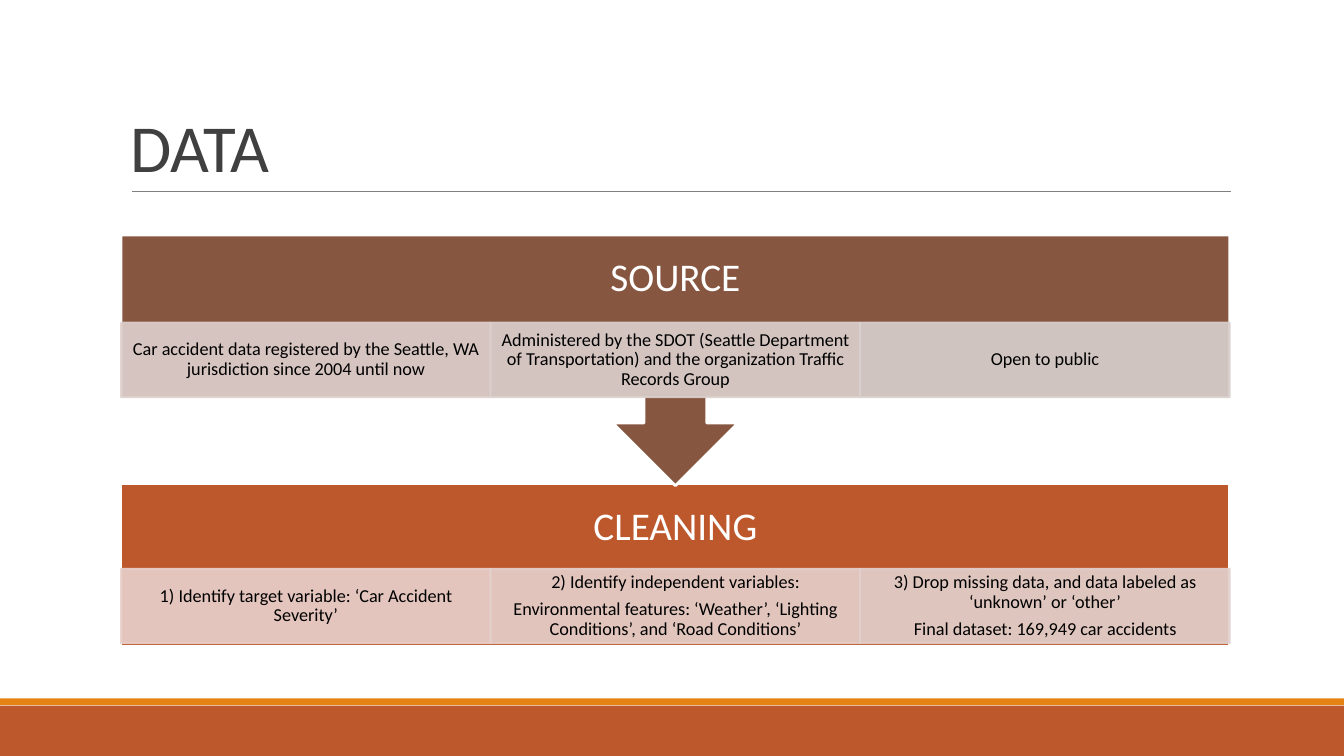
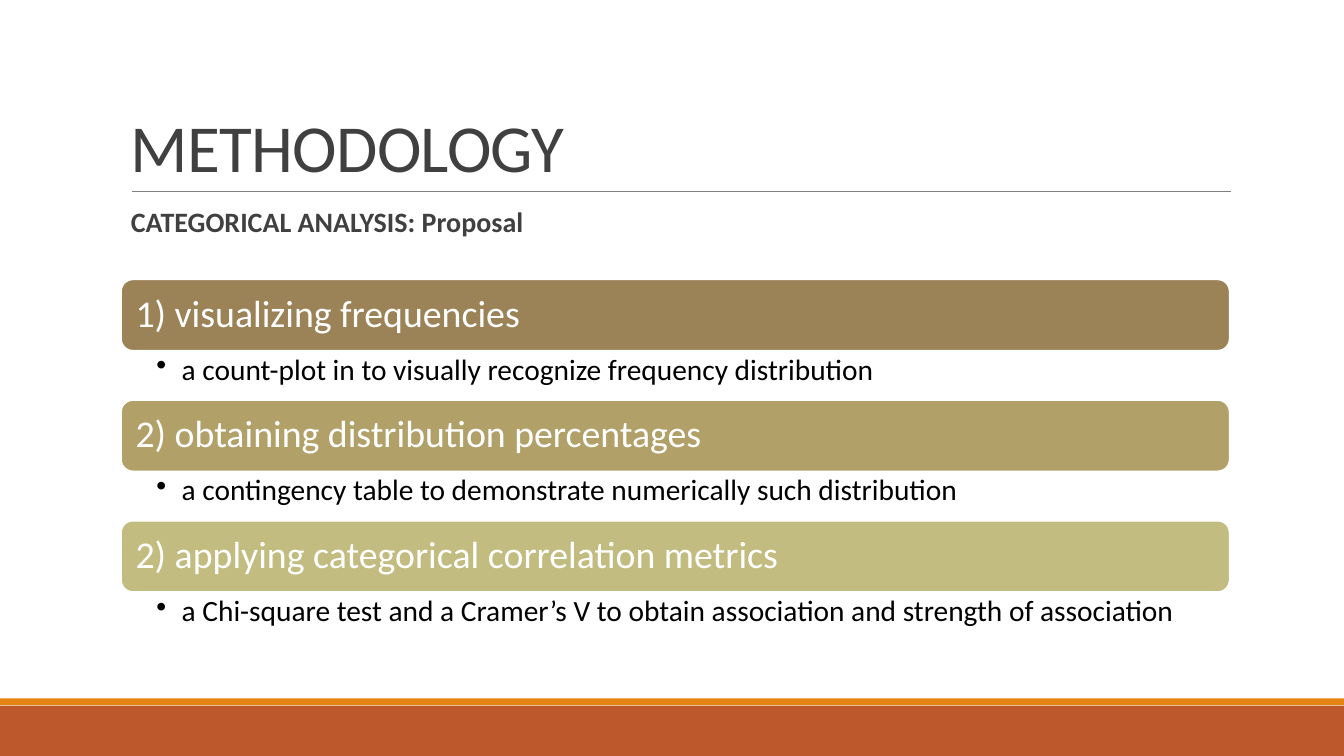
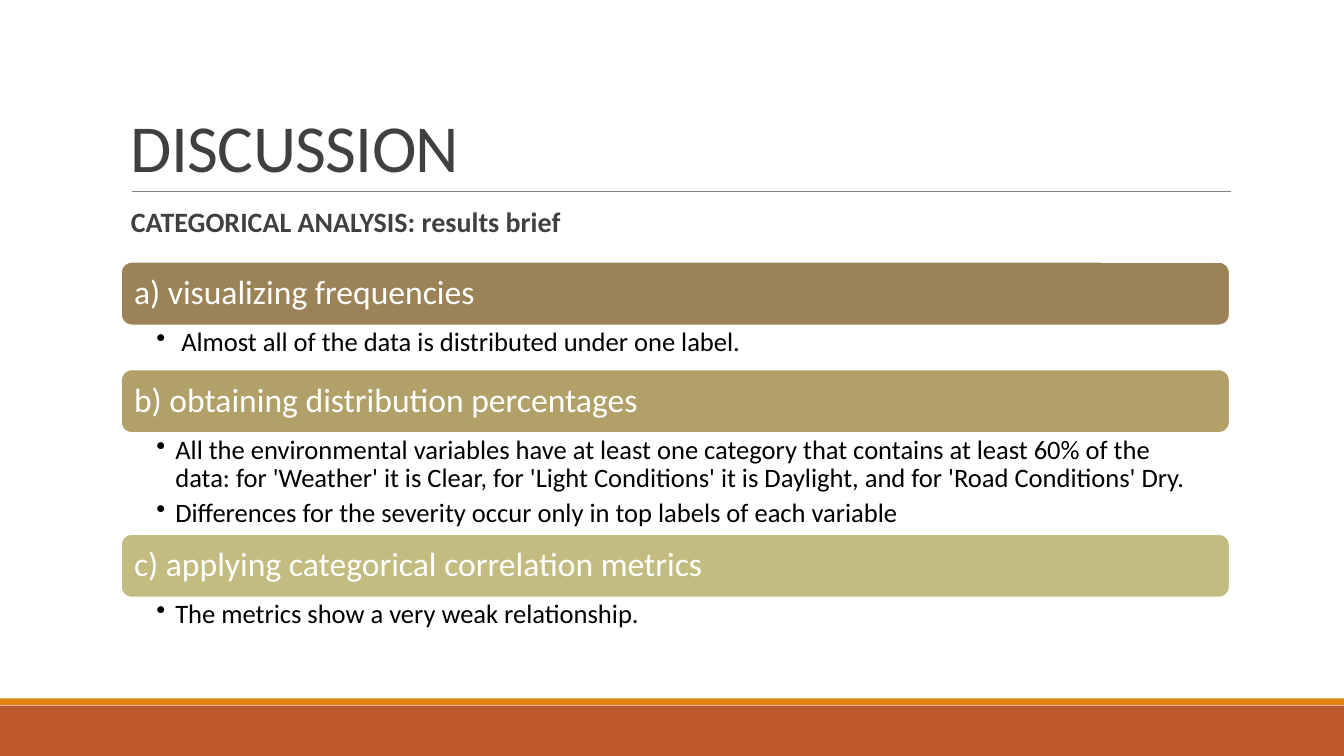
from dataclasses import dataclass

from pptx import Presentation
from pptx.dml.color import RGBColor
from pptx.enum.shapes import MSO_CONNECTOR, MSO_SHAPE
from pptx.enum.text import MSO_ANCHOR, PP_ALIGN
from pptx.oxml.ns import qn
from pptx.oxml.xmlchemy import OxmlElement
from pptx.util import Cm, Pt

RECTANGLE = MSO_SHAPE.RECTANGLE
ROUNDED = MSO_SHAPE.ROUNDED_RECTANGLE
DOWN_CALLOUT = MSO_SHAPE.DOWN_ARROW_CALLOUT
STRAIGHT = MSO_CONNECTOR.STRAIGHT
LEFT, CENTER = PP_ALIGN.LEFT, PP_ALIGN.CENTER
TOP, MIDDLE, BOTTOM = MSO_ANCHOR.TOP, MSO_ANCHOR.MIDDLE, MSO_ANCHOR.BOTTOM

FONT = "Calibri"
WHITE = RGBColor(0xFF, 0xFF, 0xFF)
BLACK = RGBColor(0x00, 0x00, 0x00)
CHARCOAL = RGBColor(0x40, 0x40, 0x40)
GRAY = RGBColor(0x80, 0x80, 0x80)
RUST = RGBColor(0xBD, 0x58, 0x2C)
ORANGE = RGBColor(0xE4, 0x83, 0x12)
BROWN = RGBColor(0x86, 0x56, 0x40)
SOURCE_TINTS = [RGBColor(0xDF, 0xD1, 0xCE), RGBColor(0xDC, 0xD1, 0xCE),
                RGBColor(0xD9, 0xD1, 0xCF)]
CLEANING_TINTS = [RGBColor(0xE8, 0xD1, 0xCD), RGBColor(0xE5, 0xD1, 0xCD),
                  RGBColor(0xE2, 0xD1, 0xCE)]
BAR_COLORS = [RGBColor(0x9B, 0x83, 0x57), RGBColor(0xB1, 0xA1, 0x69),
              RGBColor(0xC2, 0xBC, 0x80)]

PAGE_WIDTH, PAGE_HEIGHT = Cm(33.87), Cm(19.05)
CONTENT_LEFT, CONTENT_WIDTH = Cm(3.05), Cm(27.94)


@dataclass
class TextStyle:
    size: float
    color: RGBColor
    align: int = LEFT
    anchor: int = TOP
    bold: bool = False
    line_spacing: float = 0.9
    space_after: float = 0
    tracking: int = 0
    bullet_indent: int = 0


@dataclass
class ListStyle:
    bar_height: int
    bar_inset: int
    bar_size: float
    detail_size: float
    detail_indent: int
    detail_inset: int


TITLE = TextStyle(48, CHARCOAL, anchor=BOTTOM, line_spacing=0.85, tracking=-50)
SUBTITLE = TextStyle(20, CHARCOAL, bold=True)
STAGE_HEADING = TextStyle(28, WHITE, CENTER, MIDDLE)
STAGE_DETAIL = TextStyle(13, BLACK, CENTER, MIDDLE, space_after=5)


def add_bullet(para, indent):
    props = para._p.get_or_add_pPr()
    props.set("marL", str(indent))
    props.set("indent", str(-indent))
    bullet = OxmlElement("a:buChar")
    bullet.set("char", "•")
    props.append(bullet)


def write_text(box, lines, style, insets):
    """Fill a box with one paragraph per line; insets are left, top, right, bottom."""
    frame = box.text_frame
    frame.word_wrap = True
    frame.vertical_anchor = style.anchor
    (frame.margin_left, frame.margin_top,
     frame.margin_right, frame.margin_bottom) = insets
    for index, line in enumerate(lines):
        para = frame.add_paragraph() if index else frame.paragraphs[0]
        para.alignment = style.align
        para.line_spacing = style.line_spacing
        para.space_after = Pt(style.space_after)
        if style.bullet_indent:
            add_bullet(para, style.bullet_indent)
        span = para.add_run()
        span.text = line
        span.font.name = FONT
        span.font.size = Pt(style.size)
        span.font.bold = style.bold
        span.font.color.rgb = style.color
        if style.tracking:
            span._r.get_or_add_rPr().set("spc", str(style.tracking))


def add_block(page, kind, place, fill, line=None, line_width=1.25):
    block = page.shapes.add_shape(kind, *place)
    block.shadow.inherit = False
    block.fill.solid()
    block.fill.fore_color.rgb = fill
    if line is None:
        block.line.fill.background()
    else:
        block.line.color.rgb = line
        block.line.width = Pt(line_width)
    return block


def set_opacity(shape, percent):
    for color in shape._element.spPr.iter(qn("a:srgbClr")):
        alpha = OxmlElement("a:alpha")
        alpha.set("val", str(percent * 1000))
        color.append(alpha)


def add_page(deck, title, subtitle=None):
    """Blank page with the shared bands, title, rule and optional subtitle."""
    page = deck.slides.add_slide(deck.slide_layouts[6])

    # Footer bands
    add_block(page, RECTANGLE, (0, Cm(17.78), PAGE_WIDTH, Cm(1.27)), RUST)
    add_block(page, RECTANGLE, (0, Cm(17.6), PAGE_WIDTH, Cm(0.17)), ORANGE)

    # Rule below the title
    rule = page.shapes.add_connector(STRAIGHT, Cm(3.33), Cm(4.83), Cm(31.01), Cm(4.83))
    rule.line.color.rgb = GRAY
    rule.line.width = Pt(0.5)
    rule._element.spPr.append(OxmlElement("a:effectLst"))

    # Title and subtitle
    title_box = page.shapes.add_textbox(CONTENT_LEFT, Cm(0.79), CONTENT_WIDTH, Cm(4.03))
    write_text(title_box, [title], TITLE, (Cm(0.25), Cm(0.13), Cm(0.25), Cm(0.13)))
    if subtitle:
        box = page.shapes.add_textbox(CONTENT_LEFT, Cm(5.13), CONTENT_WIDTH, Cm(1.2))
        write_text(box, [subtitle], SUBTITLE, (Cm(0.25), Cm(0.13), 0, Cm(0.13)))
    return page


def add_stage(page, kind, top, height, detail_offset, color, heading, tints, details):
    """Process stage: a heading block with a row of equal detail cells."""
    left, width = CONTENT_LEFT, CONTENT_WIDTH
    block = add_block(page, kind, (left, top, width, height), color, WHITE, 2)
    write_text(block, [heading], STAGE_HEADING, (Cm(0.56), 0, Cm(0.56), Cm(1.9)))

    cell_width = width // len(details)
    for index, (tint, lines) in enumerate(zip(tints, details)):
        place = (left + index * cell_width, top + detail_offset, cell_width, Cm(1.88))
        cell = add_block(page, RECTANGLE, place, tint, tint)
        set_opacity(cell, 90)
        write_text(cell, lines, STAGE_DETAIL, (Cm(0.25), Cm(0.05), Cm(0.25), Cm(0.05)))


def add_bar_list(page, top, items, style):
    """Stacked heading bars, each followed by its bullets."""
    bar_text = TextStyle(style.bar_size, WHITE, anchor=MIDDLE)
    detail_text = TextStyle(style.detail_size, BLACK, space_after=4,
                            bullet_indent=style.detail_indent)
    for color, (heading, detail_height, details) in zip(BAR_COLORS, items):
        bar = add_block(page, ROUNDED, (CONTENT_LEFT, top, CONTENT_WIDTH, style.bar_height),
                        color, WHITE)
        write_text(bar, [heading], bar_text, (style.bar_inset,) * 4)
        top += style.bar_height
        box = page.shapes.add_textbox(CONTENT_LEFT, top, CONTENT_WIDTH, detail_height)
        write_text(box, details, detail_text,
                   (Cm(0.89), style.detail_inset, Cm(0.5), style.detail_inset))
        top += detail_height


def build_data(deck):
    page = add_page(deck, "DATA")
    add_stage(page, RECTANGLE, Cm(12.19), Cm(4.11), Cm(2.14), RUST, "CLEANING",
              CLEANING_TINTS, [
                  ["1) Identify target variable: ‘Car Accident Severity’"],
                  ["2) Identify independent variables:",
                   "Environmental features: ‘Weather’, ‘Lighting Conditions’, "
                   "and ‘Road Conditions’"],
                  ["3) Drop missing data, and data labeled as ‘unknown’ or ‘other’",
                   "Final dataset: 169,949 car accidents"],
              ])
    add_stage(page, DOWN_CALLOUT, Cm(5.92), Cm(6.32), Cm(2.21), BROWN, "SOURCE",
              SOURCE_TINTS, [
                  ["Car accident data registered by the Seattle, WA jurisdiction "
                   "since 2004 until now"],
                  ["Administered by the SDOT (Seattle Department of Transportation) "
                   "and the organization Traffic Records Group"],
                  ["Open to public"],
              ])


def build_methodology(deck):
    page = add_page(deck, "METHODOLOGY", "CATEGORICAL ANALYSIS: Proposal")
    style = ListStyle(Cm(1.8), Cm(0.28), 27, 21, Cm(0.64), Cm(0.1))
    add_bar_list(page, Cm(7.04), [
        ("1) visualizing frequencies", Cm(1.24),
         ["a count-plot in to visually recognize frequency distribution"]),
        ("2) obtaining distribution percentages", Cm(1.24),
         ["a contingency table to demonstrate numerically such distribution"]),
        ("2) applying categorical correlation metrics", Cm(1.24),
         ["a Chi-square test and a Cramer’s V to obtain association and "
          "strength of association"]),
    ], style)


def build_discussion(deck):
    page = add_page(deck, "DISCUSSION", "CATEGORICAL ANALYSIS: results brief")
    style = ListStyle(Cm(1.6), Cm(0.25), 24, 19, Cm(0.48), Cm(0.08))
    add_bar_list(page, Cm(6.6), [
        ("a) visualizing frequencies", Cm(1.11),
         [" Almost all of the data is distributed under one label."]),
        ("b) obtaining distribution percentages", Cm(2.55),
         ["All the environmental variables have at least one category that contains "
          "at least 60% of the data: for 'Weather' it is Clear, for 'Light Conditions' "
          "it is Daylight, and for 'Road Conditions' Dry.",
          "Differences for the severity occur only in top labels of each variable"]),
        ("c) applying categorical correlation metrics", Cm(1.11),
         ["The metrics show a very weak relationship."]),
    ], style)


def main():
    deck = Presentation()
    deck.slide_width, deck.slide_height = PAGE_WIDTH, PAGE_HEIGHT
    build_data(deck)
    build_methodology(deck)
    build_discussion(deck)
    deck.save("out.pptx")


if __name__ == "__main__":
    main()
